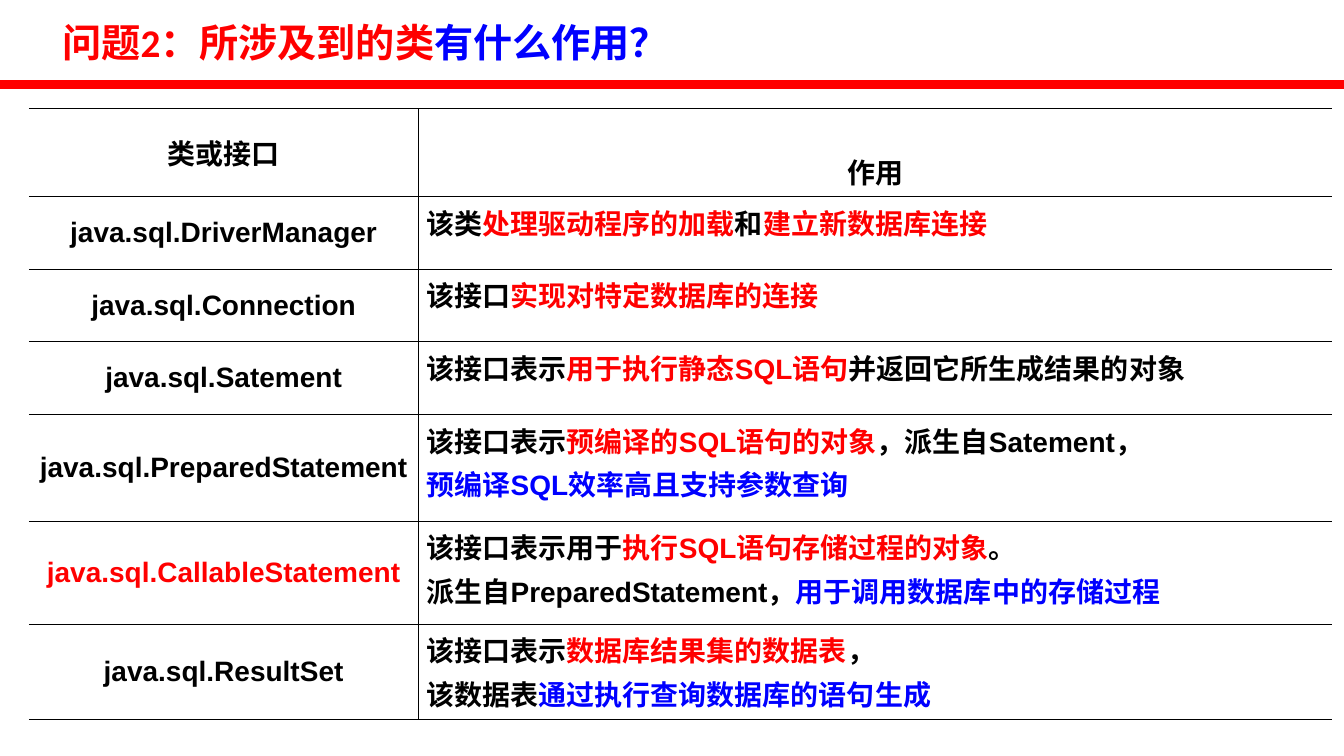
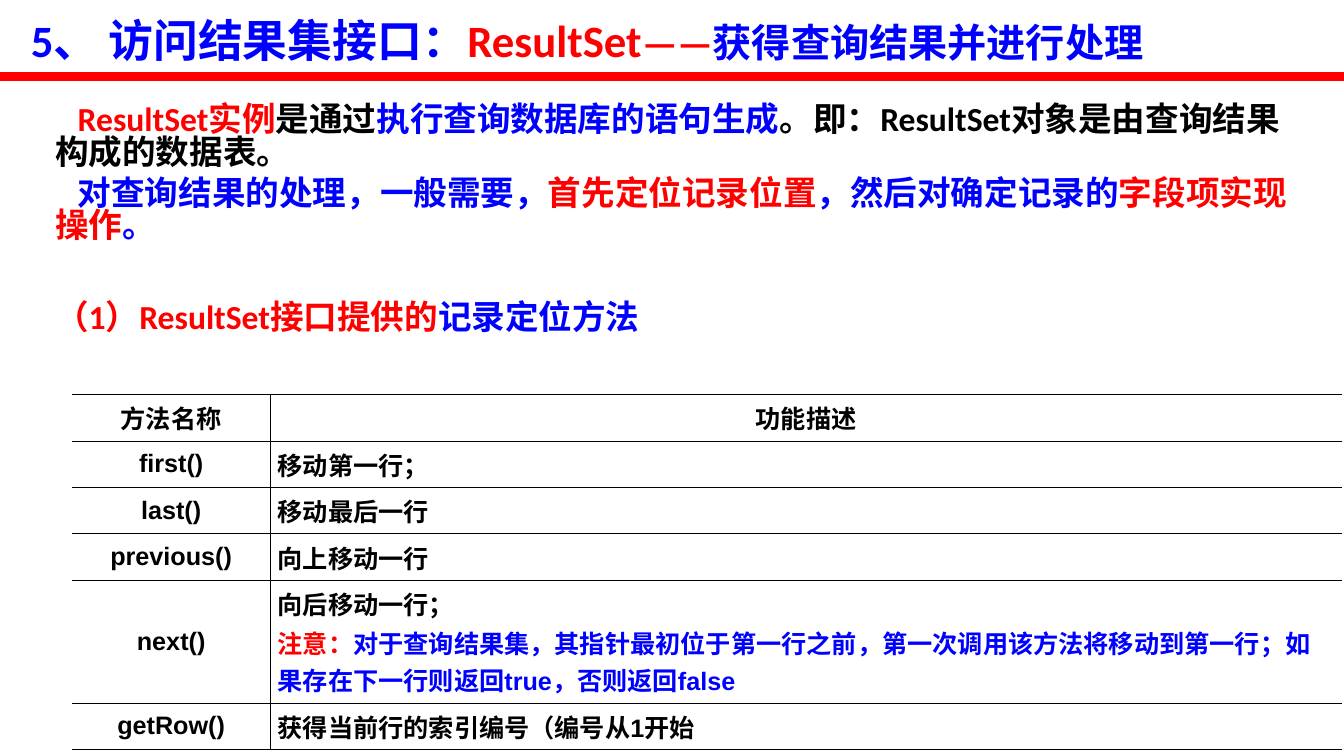
from dataclasses import dataclass

from lxml import etree
from pptx import Presentation
from pptx.dml.color import RGBColor
from pptx.enum.lang import MSO_LANGUAGE_ID
from pptx.enum.shapes import MSO_CONNECTOR
from pptx.enum.text import MSO_ANCHOR, PP_ALIGN
from pptx.oxml.ns import qn
from pptx.util import Cm, Pt

STRAIGHT = MSO_CONNECTOR.STRAIGHT
CHINESE = MSO_LANGUAGE_ID.SIMPLIFIED_CHINESE
TOP, MIDDLE, BOTTOM = MSO_ANCHOR.TOP, MSO_ANCHOR.MIDDLE, MSO_ANCHOR.BOTTOM
LEFT, CENTER = PP_ALIGN.LEFT, PP_ALIGN.CENTER


@dataclass(frozen=True)
class Theme:
    red: RGBColor = RGBColor(255, 0, 0)
    blue: RGBColor = RGBColor(0, 0, 255)
    black: RGBColor = RGBColor(0, 0, 0)
    heading_font: str = "Calibri"
    table_font: str = "Arial"
    title_large: int = 32
    title_size: int = 28
    body_size: int = 24
    table_large: int = 20
    table_small: int = 18
    rule_width: float = 6
    border_width: float = 0.45


THEME = Theme()
PAGE_WIDTH, PAGE_HEIGHT = 33.88, 19.05


def red(text, size=None):
    return text, THEME.red, size


def blue(text, size=None):
    return text, THEME.blue, size


def black(text):
    return text, THEME.black, None


def write_paragraphs(frame, paragraphs, font, size, align=LEFT, gap=0):
    for index, spans in enumerate(paragraphs):
        para = frame.add_paragraph() if index else frame.paragraphs[0]
        para.alignment = align
        if index:
            para.space_before = Pt(gap)
        for text, color, own_size in spans:
            span = para.add_run()
            span.text = text
            span.font.name = font
            span.font.size = Pt(own_size or size)
            span.font.bold = True
            span.font.color.rgb = color
            span.font.language_id = CHINESE


def add_text(page, left, top, width, height, paragraphs, size, anchor=TOP, gap=0):
    box = page.shapes.add_textbox(Cm(left), Cm(top), Cm(width), Cm(height))
    frame = box.text_frame
    frame.word_wrap = True
    frame.vertical_anchor = anchor
    write_paragraphs(frame, paragraphs, THEME.heading_font, size, gap=gap)
    return frame


def add_rule(page, top):
    rule = page.shapes.add_connector(STRAIGHT, 0, Cm(top), Cm(PAGE_WIDTH), Cm(top))
    rule.line.color.rgb = THEME.red
    rule.line.width = Pt(THEME.rule_width)
    etree.SubElement(rule._element.spPr, qn("a:effectLst"))


def set_borders(cell, visible):
    properties = cell._tc.get_or_add_tcPr()
    for side in ("L", "R", "T", "B"):
        border = etree.SubElement(properties, qn(f"a:ln{side}"))
        if side in visible:
            border.set("w", str(int(Pt(THEME.border_width))))
            fill = etree.SubElement(border, qn("a:solidFill"))
            etree.SubElement(fill, qn("a:srgbClr")).set("val", str(THEME.black))
        else:
            etree.SubElement(border, qn("a:noFill"))
    cell.fill.background()


def fill_cell(cell, paragraphs, size, inset, align, anchor, borders):
    set_borders(cell, borders)
    cell.margin_left = cell.margin_right = Cm(inset)
    cell.margin_top = cell.margin_bottom = Cm(0.13)
    cell.vertical_anchor = anchor
    write_paragraphs(cell.text_frame, paragraphs, THEME.table_font, size, align, gap=2)


def add_class_table(page, left, top, widths, heights, header, rows, size, inset, header_anchor):
    frame = page.shapes.add_table(
        len(heights), len(widths), Cm(left), Cm(top), Cm(sum(widths)), Cm(sum(heights)))
    table = frame.table
    table.first_row = table.horz_banding = False
    for column, width in zip(table.columns, widths):
        column.width = Cm(width)
    for row, height in zip(table.rows, heights):
        row.height = Cm(height)
    lines = [(header[0], [[black(header[1])]])] + rows
    for index, (name, description) in enumerate(lines):
        is_header = index == 0
        label = black(name) if isinstance(name, str) else name
        fill_cell(table.cell(index, 0), [[label]], size, inset, CENTER, MIDDLE, "RTB")
        fill_cell(table.cell(index, 1), description, size, inset,
                  CENTER if is_header else LEFT,
                  header_anchor if is_header else TOP, "LTB")


def add_classes_page(deck):
    page = deck.slides.add_slide(deck.slide_layouts[6])
    rows = [
        ("java.sql.DriverManager", [
            [black("该类"), red("处理驱动程序的加载"), black("和"), red("建立新数据库连接")]]),
        ("java.sql.Connection", [[black("该接口"), red("实现对特定数据库的连接")]]),
        ("java.sql.Satement", [
            [black("该接口表示"), red("用于执行静态SQL语句"), black("并返回它所生成结果的对象")]]),
        ("java.sql.PreparedStatement", [
            [black("该接口表示"), red("预编译的SQL语句的对象"), black("，派生自Satement，")],
            [blue("预编译SQL效率高且支持参数查询")]]),
        (red("java.sql.CallableStatement"), [
            [black("该接口表示用于"), red("执行SQL语句存储过程的对象"), black("。")],
            [black("派生自PreparedStatement，"), blue("用于调用数据库中的存储过程")]]),
        ("java.sql.ResultSet", [
            [black("该接口表示"), red("数据库结果集的数据表"), black("，")],
            [black("该数据表"), blue("通过执行查询数据库的语句生成")]]),
    ]
    add_class_table(page, 0.73, 2.73, [9.82, 23.02],
                    [2.22, 1.83, 1.83, 1.83, 2.69, 2.6, 2.39],
                    ("类或接口", "作用"), rows, THEME.table_large, 0.2, BOTTOM)
    add_text(page, 1.32, 0.33, 18.6, 1.45,
             [[red("问题2：所涉及到的类"), blue("有什么作用？")]], THEME.title_size)
    add_rule(page, 2.13)


def add_result_set_page(deck):
    page = deck.slides.add_slide(deck.slide_layouts[6])
    add_text(page, 0.53, 0.08, 32.6, 1.85, [[
        blue("5、 访问结果集接口："), red("ResultSet"),
        red("——", THEME.title_size), blue("获得查询结果并进行处理", THEME.title_size),
    ]], THEME.title_large, MIDDLE)
    body = add_text(page, 1.14, 2.53, 32.06, 7.2, [
        [red("ResultSet实例"), black("是通过"), blue("执行查询数据库的语句生成"),
         black("。即：ResultSet对象是由查询结果构成的数据表。")],
        [blue("对查询结果的处理，一般需要，"), red("首先定位记录位置"),
         blue("，然后对确定记录的"), red("字段项实现操作"), blue("。")],
        [red("（1）ResultSet接口提供的"), blue("记录定位方法")],
    ], THEME.body_size, gap=6)
    for para in body.paragraphs:
        para.line_spacing = 0.81
    for para in body.paragraphs[:2]:
        para._p.get_or_add_pPr().set("indent", str(Cm(0.57)))
    body.paragraphs[2].space_before = Pt(42)
    rows = [
        ("first()", [[black("移动第一行；")]]),
        ("last()", [[black("移动最后一行")]]),
        ("previous()", [[black("向上移动一行")]]),
        ("next()", [
            [black("向后移动一行；")],
            [red("注意："), blue("对于查询结果集，其指针最初位于第一行之前，第一次调用该方法"
                               "将移动到第一行；如果存在下一行则返回true，否则返回false")]]),
        ("getRow()", [[black("获得当前行的索引编号（编号从1开始")]]),
    ]
    add_class_table(page, 1.81, 9.94, [5.01, 27],
                    [1.17, 1.17, 1.17, 1.17, 3.09, 1.17],
                    ("方法名称", "功能描述"), rows, THEME.table_small, 0.18, TOP)
    add_rule(page, 1.93)


def main():
    deck = Presentation()
    deck.slide_width, deck.slide_height = Cm(PAGE_WIDTH), Cm(PAGE_HEIGHT)
    add_classes_page(deck)
    add_result_set_page(deck)
    deck.save("out.pptx")


if __name__ == "__main__":
    main()
